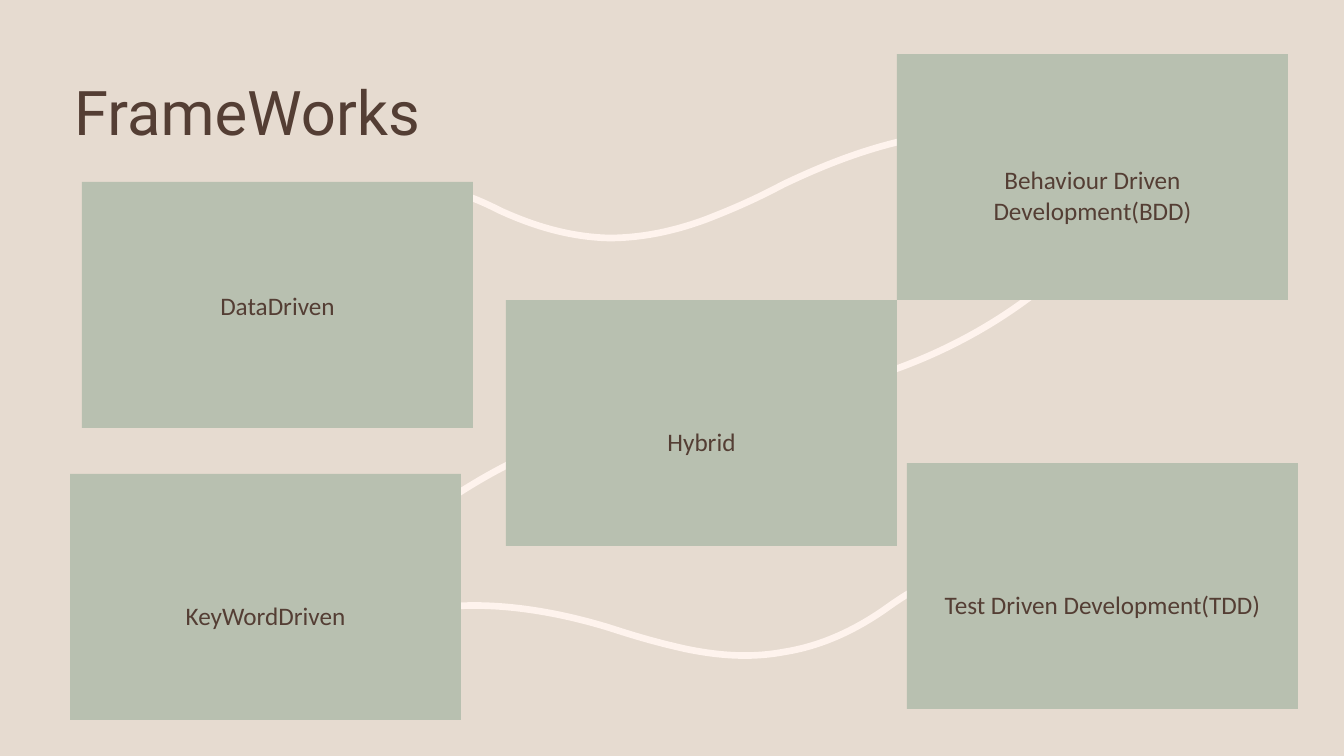
from pptx import Presentation
from pptx.dml.color import RGBColor
from pptx.enum.shapes import MSO_SHAPE
from pptx.enum.text import MSO_ANCHOR, PP_ALIGN
from pptx.oxml.ns import qn
from pptx.util import Emu, Pt

RECTANGLE = MSO_SHAPE.RECTANGLE
MIDDLE = MSO_ANCHOR.MIDDLE
LEFT, CENTER = PP_ALIGN.LEFT, PP_ALIGN.CENTER

EMU_PER_PX = 914400 / 100.8
TITLE_ONLY_LAYOUT = 5
COLORS = {"background": "E6DBD0", "box": "B8C0B0", "curve": "FEF3ED", "text": "543E34"}

BOX_WIDTH, BOX_HEIGHT = 391, 246
BOX_INSET = 20
LABEL_DROP = 36

# Label, left, top, extra space above the label
FRAMEWORKS = [
    ("DataDriven", 82, 182, 0),
    ("Behaviour Driven Development(BDD)", 897, 54, LABEL_DROP),
    ("Hybrid", 506, 300, LABEL_DROP),
    ("KeyWordDriven", 70, 474, LABEL_DROP),
    ("Test Driven Development(TDD)", 907, 463, LABEL_DROP),
]

# Start point, then three points for each Bezier segment
CURVES = [
    [(840, 386), (920, 366), (993, 330), (1055, 277)],
    [(589, 431), (513, 456), (449, 494), (392, 543)],
    [(309, 225), (353, 188), (401, 178), (453, 192),
     (470, 196), (485, 203), (501, 211),
     (534, 226), (570, 237), (609, 238),
     (642, 238), (675, 231), (707, 219),
     (743, 205), (763, 195), (784, 184),
     (810, 172), (948, 104), (1035, 147)],
    [(927, 584), (911, 591), (898, 600), (884, 610),
     (855, 630), (822, 646), (784, 652),
     (752, 658), (720, 656), (686, 649),
     (650, 641), (629, 634), (607, 627),
     (583, 620), (437, 575), (350, 641)],
]


def px(length):
    return Emu(round(length * EMU_PER_PX))


def color(name):
    return RGBColor.from_string(COLORS[name])


def write_text(shape, text, *, font, size, align, line_spacing=1.0):
    frame = shape.text_frame
    frame.word_wrap = True
    frame.vertical_anchor = MIDDLE
    paragraph = frame.paragraphs[0]
    paragraph.alignment = align
    paragraph.line_spacing = line_spacing
    run = paragraph.add_run()
    run.text = text
    run.font.name = font
    run.font.size = Pt(size)
    run.font.color.rgb = color("text")


def add_title(slide, text):
    title = slide.shapes.title
    title.left, title.top, title.width, title.height = px(64), px(78), px(1008), px(75)
    write_text(title, text, font="Roboto", size=44, align=LEFT, line_spacing=0.9)


def add_curve(slide, points):
    """Draw an open Bezier line through its start and control points."""
    start, *controls = points
    builder = slide.shapes.build_freeform(*start, scale=EMU_PER_PX)
    builder.add_line_segments(controls, close=False)
    shape = builder.convert_to_shape()
    shape.shadow.inherit = False
    shape.fill.background()
    shape.line.color.rgb = color("curve")
    shape.line.width = Pt(4.75)

    segments = list(shape.element.iter(qn("a:lnTo")))
    for index in range(0, len(segments), 3):
        first, *others = segments[index:index + 3]
        bezier = first.makeelement(qn("a:cubicBezTo"))
        first.addprevious(bezier)
        for segment in (first, *others):
            bezier.append(segment[0])
            segment.getparent().remove(segment)


def add_framework_box(slide, label, left, top, label_drop):
    box = slide.shapes.add_shape(RECTANGLE, px(left), px(top), px(BOX_WIDTH), px(BOX_HEIGHT))
    box.shadow.inherit = False
    box.fill.solid()
    box.fill.fore_color.rgb = color("box")
    box.line.fill.background()
    frame = box.text_frame
    frame.margin_left = frame.margin_right = px(BOX_INSET)
    frame.margin_top, frame.margin_bottom = px(label_drop), 0
    write_text(box, label, font="Calibri", size=18, align=CENTER)


def main():
    presentation = Presentation()
    presentation.slide_width, presentation.slide_height = px(1344), px(756)
    slide = presentation.slides.add_slide(presentation.slide_layouts[TITLE_ONLY_LAYOUT])
    slide.background.fill.solid()
    slide.background.fill.fore_color.rgb = color("background")

    for points in CURVES:
        add_curve(slide, points)
    add_title(slide, "FrameWorks")
    for framework in FRAMEWORKS:
        add_framework_box(slide, *framework)

    presentation.save("out.pptx")


if __name__ == "__main__":
    main()
